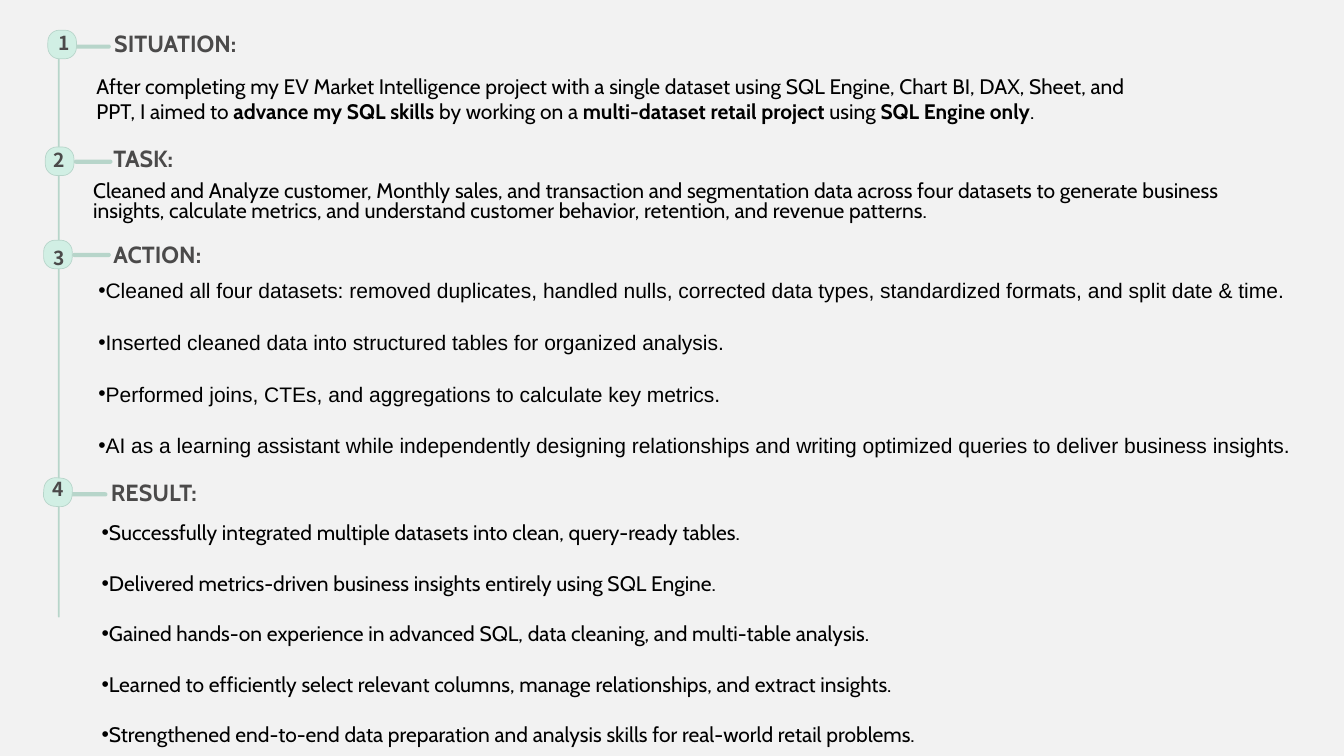
from pptx import Presentation
from pptx.dml.color import RGBColor
from pptx.enum.shapes import MSO_SHAPE
from pptx.enum.text import MSO_ANCHOR, MSO_AUTO_SIZE, PP_ALIGN
from pptx.util import Inches, Pt

BACKGROUND = RGBColor(0xF2, 0xF2, 0xF2)
RAIL_GREEN = RGBColor(0xB7, 0xD5, 0xCA)
BADGE_GREEN = RGBColor(0xD1, 0xEF, 0xE4)
HEADING_GREY = RGBColor(0x4B, 0x4A, 0x4A)
BLACK = RGBColor(0, 0, 0)

BADGE_SIZE = 0.34
RAIL = (0.69, 0.66, 0.02, 6.69)

# heading, heading (left, top), badge (left, top, rotation),
# dash (left, top), centre and top of the number
STEPS = [
    ("SITUATION:", (1.36, 0.39), (0.57, 0.36, 0), (0.86, 0.53), (0.76, 0.42)),
    ("TASK:", (1.35, 1.76), (0.54, 1.75, 0), (0.88, 1.9), (0.7, 1.81)),
    ("ACTION:", (1.35, 2.91), (0.52, 2.86, 0), (0.86, 3.01), (0.7, 2.98)),
    ("RESULT:", (1.32, 5.74), (0.52, 5.69, 4.5), (0.82, 5.86), (0.69, 5.73)),
]

# (text, bold)
SITUATION = [
    ("After completing my EV Market Intelligence project with a single dataset using "
     "SQL Engine, Chart BI, DAX, Sheet, and PPT, I aimed to ", False),
    ("advance my SQL skills", True),
    (" by working on a ", False),
    ("multi-dataset retail project", True),
    (" using ", False),
    ("SQL Engine only", True),
    (".", False),
]
TASK = [
    ("Cleaned and Analyze customer, Monthly sales, and transaction and segmentation data "
     "across four datasets to generate business insights, calculate metrics, and understand "
     "customer behavior, retention, and revenue patterns.", False),
]
ACTIONS = [
    "Cleaned all four datasets: removed duplicates, handled nulls, corrected data types, "
    "standardized formats, and split date & time.",
    "Inserted cleaned data into structured tables for organized analysis.",
    "Performed joins, CTEs, and aggregations to calculate key metrics.",
    "AI as a learning assistant while independently designing relationships and writing "
    "optimized queries to deliver business insights.",
]
RESULTS = [
    "Successfully integrated multiple datasets into clean, query-ready tables.",
    "Delivered metrics-driven business insights entirely using SQL Engine.",
    "Gained hands-on experience in advanced SQL, data cleaning, and multi-table analysis.",
    "Learned to efficiently select relevant columns, manage relationships, and extract insights.",
    "Strengthened end-to-end data preparation and analysis skills for real-world retail problems.",
]

prs = Presentation()
prs.slide_width, prs.slide_height = Inches(16), Inches(9)
slide = prs.slides.add_slide(prs.slide_layouts[3])
slide.background.fill.solid()
slide.background.fill.fore_color.rgb = BACKGROUND
title, action_list, result_list = slide.placeholders


def add_rounded(left, top, width, height, fill, line=None):
    shape = slide.shapes.add_shape(MSO_SHAPE.ROUNDED_RECTANGLE, Inches(left), Inches(top),
                                   Inches(width), Inches(height))
    shape.adjustments[0] = 0.5 if line is None else 0.4
    shape.shadow.inherit = False
    shape.fill.solid()
    shape.fill.fore_color.rgb = fill
    if line is None:
        shape.line.fill.background()
    else:
        shape.line.color.rgb = line
        shape.line.width = Pt(0.6)
    return shape


def place(holder, left, top, width, height, inset=True, wrap=True, anchor=MSO_ANCHOR.TOP):
    """Position a text holder and return its text frame."""
    holder.left, holder.top = Inches(left), Inches(top)
    holder.width, holder.height = Inches(width), Inches(height)
    frame = holder.text_frame
    frame.auto_size = MSO_AUTO_SIZE.NONE
    frame.word_wrap = wrap
    frame.vertical_anchor = anchor
    if not inset:
        frame.margin_left = frame.margin_right = frame.margin_top = frame.margin_bottom = 0
    return frame


def new_box():
    return slide.shapes.add_textbox(0, 0, 0, 0)


def add_run(paragraph, text, size=18, font="Cabin", color=BLACK, bold=False):
    run = paragraph.add_run()
    run.text = text
    run.font.size, run.font.name, run.font.bold = Pt(size), font, bold
    run.font.color.rgb = color


def fill_list(frame, items, font, gap):
    for index, item in enumerate(items):
        paragraph = frame.add_paragraph() if index else frame.paragraphs[0]
        paragraph.space_before = Pt(gap if index else 0)
        properties = paragraph._p.get_or_add_pPr()
        properties.set("marL", "0")
        properties.set("indent", "0")
        add_run(paragraph, item, font=font)


add_rounded(*RAIL, RAIL_GREEN)
for number, (heading, heading_at, badge, dash_at, number_at) in enumerate(STEPS, 1):
    add_rounded(*dash_at, 0.46, 0.05, RAIL_GREEN)
    badge_left, badge_top, rotation = badge
    add_rounded(badge_left, badge_top, BADGE_SIZE, BADGE_SIZE,
                BADGE_GREEN, RAIL_GREEN).rotation = rotation

    center, number_top = number_at
    digit = place(new_box(), center - 0.12, number_top, 0.24, 0.25,
                  inset=False, wrap=False).paragraphs[0]
    digit.alignment = PP_ALIGN.CENTER
    digit.line_spacing = Pt(16.5)
    add_run(digit, str(number), 16.5, "Noto Sans CJK SC", HEADING_GREY, True)

    holder = title if number == 1 else new_box()
    label = place(holder, *heading_at, 2.3, 0.29, inset=False, wrap=False).paragraphs[0]
    label.alignment = PP_ALIGN.LEFT
    label.line_spacing = Pt(20.5)
    add_run(label, heading, 20, "Cabin", HEADING_GREY, True)

situation = place(new_box(), 1.05, 0.82, 12.73, 0.71).paragraphs[0]
for text, bold in SITUATION:
    add_run(situation, text, bold=bold)

task = place(new_box(), 1.11, 2.17, 13.99, 0.49, inset=False).paragraphs[0]
task.line_spacing = Pt(17.5)
for text, bold in TASK:
    add_run(task, text, bold=bold)

action_frame = place(action_list, 1.07, 3.27, 14.52, 2.22, wrap=False, anchor=MSO_ANCHOR.MIDDLE)
fill_list(action_frame, ACTIONS, "Arial", 22.6)
fill_list(place(result_list, 1.11, 6.14, 11.05, 2.83), RESULTS, "Cabin", 21.6)

prs.save("out.pptx")
